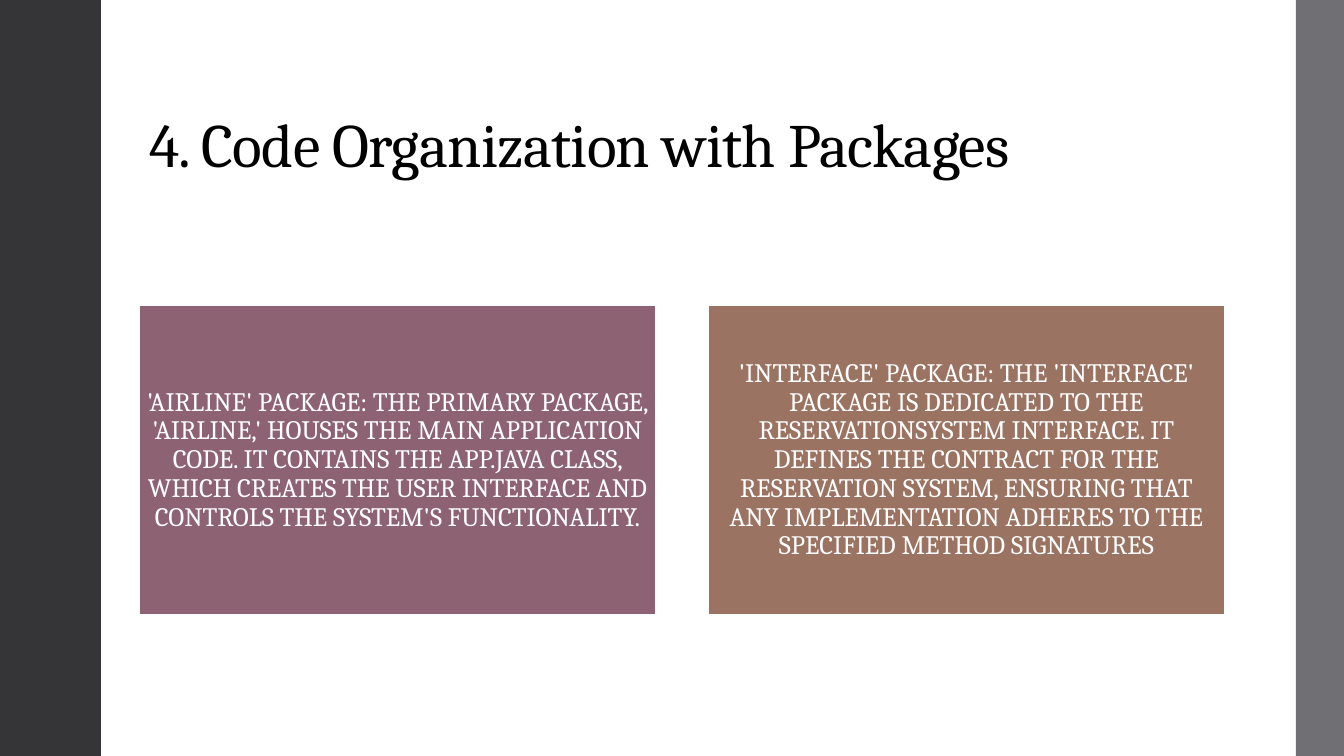
from pptx import Presentation
from pptx.dml.color import RGBColor as RGB
from pptx.enum.shapes import MSO_SHAPE as SHAPE
from pptx.enum.text import MSO_ANCHOR as ANCHOR, PP_ALIGN as ALIGN
from pptx.util import Pt

PX = 914400 / 100.8
WIDTH, HEIGHT = 1344, 756
COLORS = {
    "white": "FFFFFF",
    "black": "000000",
    "charcoal": "353537",
    "gray": "6F6F74",
    "plum": "8D6374",
    "brown": "9B7362",
}
CARDS = [
    ("plum", "'AIRLINE' PACKAGE: THE PRIMARY PACKAGE, 'AIRLINE,' HOUSES THE MAIN "
             "APPLICATION CODE. IT CONTAINS THE APP.JAVA CLASS, WHICH CREATES THE "
             "USER INTERFACE AND CONTROLS THE SYSTEM'S FUNCTIONALITY."),
    ("brown", "'INTERFACE' PACKAGE: THE 'INTERFACE' PACKAGE IS DEDICATED TO THE "
              "RESERVATIONSYSTEM INTERFACE. IT DEFINES THE CONTRACT FOR THE "
              "RESERVATION SYSTEM, ENSURING THAT ANY IMPLEMENTATION ADHERES TO THE "
              "SPECIFIED METHOD SIGNATURES"),
]


def px(n):
    return round(n * PX)


def rgb(name):
    return RGB.from_string(COLORS[name])


def write(tf, text, *, font, size, color, align=ALIGN.LEFT,
          anchor=ANCHOR.MIDDLE, inset=(8, 8), spacing=0):
    tf.word_wrap = True
    tf.vertical_anchor = anchor
    tf.margin_left = tf.margin_right = px(inset[0])
    tf.margin_top = tf.margin_bottom = px(inset[1])
    p = tf.paragraphs[0]
    p.alignment = align
    p.line_spacing = 0.9
    r = p.add_run()
    r.text = text
    r.font.name = font
    r.font.size = Pt(size)
    r.font.color.rgb = rgb(color)
    if spacing:
        r._r.get_or_add_rPr().set("spc", str(round(spacing * 100)))


class Deck:
    font = "Cambria"

    def __init__(self):
        self.prs = Presentation()
        self.prs.slide_width = px(WIDTH)
        self.prs.slide_height = px(HEIGHT)
        self.s = self.prs.slides.add_slide(self.prs.slide_layouts[6])

    def rect(self, x, y, w, h, fill, line=None):
        sp = self.s.shapes.add_shape(SHAPE.RECTANGLE, px(x), px(y), px(w), px(h))
        sp.shadow.inherit = False
        sp.fill.solid()
        sp.fill.fore_color.rgb = rgb(fill)
        if line:
            sp.line.color.rgb = rgb(line)
            sp.line.width = Pt(1.35)
        else:
            sp.line.fill.background()
        return sp

    def title(self, x, y, w, h, text):
        sp = self.s.shapes.add_textbox(px(x), px(y), px(w), px(h))
        write(sp.text_frame, text, font=self.font, size=44, color="black",
              anchor=ANCHOR.BOTTOM, inset=(10, 5), spacing=-0.5)

    def card(self, x, y, w, h, fill, text):
        sp = self.rect(x, y, w, h, fill, line="white")
        write(sp.text_frame, text, font=self.font, size=19, color="white",
              align=ALIGN.CENTER)


def main():
    deck = Deck()
    deck.rect(0, 0, 101, HEIGHT, "charcoal")
    deck.rect(1296, 0, WIDTH - 1296, HEIGHT, "gray")
    deck.title(139, 40, 1087, 146, "4. Code Organization with Packages")
    for i, (fill, text) in enumerate(CARDS):
        deck.card(139 + 569 * i, 305, 517, 310, fill, text)
    deck.prs.save("out.pptx")


if __name__ == "__main__":
    main()
